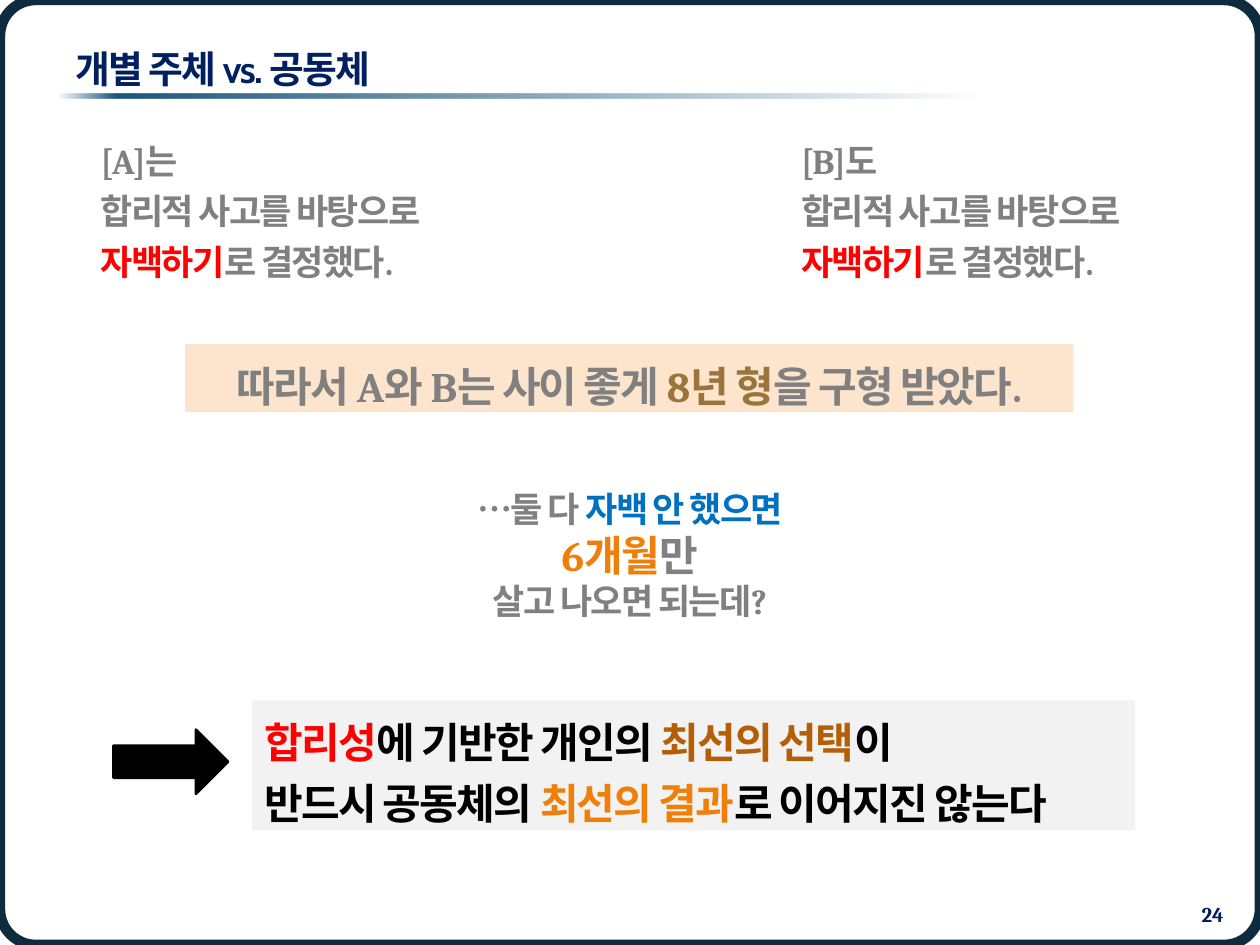
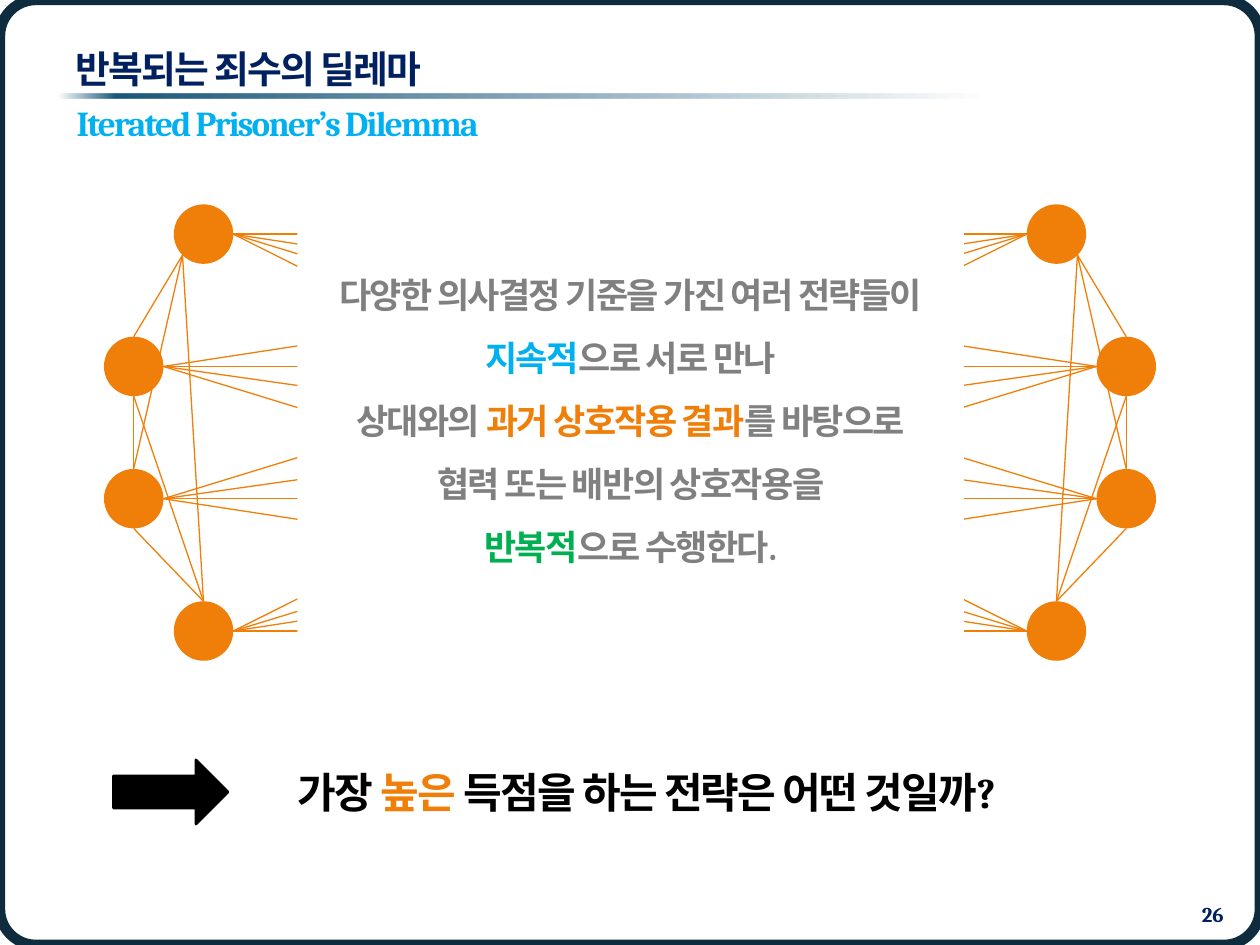
from itertools import product

from lxml import etree
from pptx import Presentation
from pptx import util as u
from pptx.dml.color import RGBColor
from pptx.enum import shapes, text
from pptx.oxml.ns import qn


class Theme:
    navy, frame, rule = "002060", "0E2C3E", "1B587C"
    grey, black, white = "808080", "000000", "FFFFFF"
    red, blue, sky, green = "FF0000", "0070C0", "00B0F0", "00B050"
    orange, brown, bronze = "F07F09", "B45F07", "9A743A"
    peach, pale = "FDE5CD", "F2F2F2"
    heading_font, body_font = "Cabin", "Cambria"
    title, body, large, small = 21.6, 20, 24, 12


LEFT, CENTER, RIGHT = text.PP_ALIGN.LEFT, text.PP_ALIGN.CENTER, text.PP_ALIGN.RIGHT


def add_solid(slide, kind, box, fill=None):
    """Add a preset shape, filled or hollow, with no outline."""
    shape = slide.shapes.add_shape(kind, *map(u.Pt, box))
    shape.shadow.inherit = False
    shape.line.fill.background()
    if fill:
        shape.fill.solid()
        shape.fill.fore_color.rgb = RGBColor.from_string(fill)
    else:
        shape.fill.background()
    return shape


def add_text(slide, box, paragraphs, fill=None, align=LEFT, spacing=1.0,
             font=Theme.body_font, tracking=-100, fixed=False, top=3.6):
    """Add a text box; each paragraph is a list of (words, size, colour) runs."""
    shape = slide.shapes.add_textbox(*map(u.Pt, box))
    if fill:
        shape.fill.solid()
        shape.fill.fore_color.rgb = RGBColor.from_string(fill)
    frame = shape.text_frame
    frame.word_wrap = fixed
    frame.auto_size = (text.MSO_AUTO_SIZE.NONE if fixed
                       else text.MSO_AUTO_SIZE.SHAPE_TO_FIT_TEXT)
    frame.margin_top = u.Pt(top)
    for index, runs in enumerate(paragraphs):
        paragraph = frame.add_paragraph() if index else frame.paragraphs[0]
        paragraph.alignment = align
        paragraph.line_spacing = spacing
        for words, size, colour in runs:
            run = paragraph.add_run()
            run.text = words
            run.font.name = font
            run.font.size = u.Pt(size)
            run.font.bold = True
            run.font.color.rgb = RGBColor.from_string(colour)
            run.font._element.set("spc", str(tracking))
    return shape


presentation = Presentation()
presentation.slide_width, presentation.slide_height = u.Pt(720), u.Pt(540)

# Shared frame, title rule, title, page number and arrow
slides = []
for title, number, arrow_top in [("개별 주체 vs. 공동체", "24", 416.9),
                                 ("반복되는 죄수의 딜레마", "26", 434.2)]:
    slide = presentation.slides.add_slide(presentation.slide_layouts[6])
    slides.append(slide)

    border = add_solid(slide, shapes.MSO_SHAPE.ROUNDED_RECTANGLE, (0, 0, 720, 540))
    border.adjustments[0] = 0.038
    border.line.color.rgb = RGBColor.from_string(Theme.frame)
    border.line.width = u.Pt(6)

    rule = add_solid(slide, shapes.MSO_SHAPE.RECTANGLE, (33.8, 53.3, 658, 2.9))
    rule.fill.gradient()
    rule.fill.gradient_angle = 0
    stops = rule._element.spPr.find(".//" + qn("a:gsLst"))
    for stop in list(stops):
        stops.remove(stop)
    for position, alpha in [(0, 0), (5, 100), (80, 0)]:
        stop = etree.SubElement(stops, qn("a:gs"), pos=str(position * 1000))
        colour = etree.SubElement(stop, qn("a:srgbClr"), val=Theme.rule)
        etree.SubElement(colour, qn("a:alpha"), val=str(alpha * 1000))

    heading = add_text(slide, (36, 21.6, 648, 34.6),
                       [[(title, Theme.title, Theme.navy)]],
                       font=Theme.heading_font, fixed=True)
    heading.text_frame.vertical_anchor = text.MSO_ANCHOR.MIDDLE
    add_text(slide, (646.6, 511.9, 59.8, 17.3),
             [[(number, Theme.small, Theme.navy)]],
             align=RIGHT, tracking=0, fixed=True)

    arrow = add_solid(slide, shapes.MSO_SHAPE.RIGHT_ARROW,
                      (64.8, arrow_top, 65.5, 36.7), Theme.black)
    arrow.line.color.rgb = RGBColor.from_string(Theme.black)
    arrow.line.width = u.Pt(1.5)

community, iterated = slides

# Slide 1: the two prisoners' decisions
for left, prisoner in [(50.4, "[A]는"), (450.7, "[B]도")]:
    add_text(community, (left, 71.3, 214.6, 92.2), [
        [(prisoner, Theme.body, Theme.grey)],
        [("합리적 사고를 바탕으로", Theme.body, Theme.grey)],
        [("자백하기", Theme.body, Theme.red),
         ("로 결정했다.", Theme.body, Theme.grey)],
    ], spacing=1.2)

# Slide 1: sentence and the missed alternative
add_text(community, (105.8, 196.6, 507.6, 38.9), [
    [("따라서 A와 B는 사이 좋게 ", Theme.large, Theme.grey),
     ("8년 형", Theme.large, Theme.bronze),
     ("을 구형 받았다.", Theme.large, Theme.grey)],
], fill=Theme.peach, align=CENTER, spacing=1.2)
add_text(community, (258.5, 275, 203, 85), [
    [("…둘 다 ", Theme.body, Theme.grey),
     ("자백 안 했으면", Theme.body, Theme.blue)],
    [("6개월", Theme.large, Theme.orange), ("만", Theme.large, Theme.grey)],
    [("살고 나오면 되는데?", Theme.body, Theme.grey)],
], align=CENTER)

# Slide 1: conclusion
add_text(community, (144, 400.3, 504.7, 74.2), [
    [("합리성", Theme.large, Theme.red),
     ("에 기반한 개인의 ", Theme.large, Theme.black),
     ("최선의 선택", Theme.large, Theme.brown),
     ("이", Theme.large, Theme.black)],
    [("반드시 공동체의 ", Theme.large, Theme.black),
     ("최선의 결과", Theme.large, Theme.orange),
     ("로 이어지진 않는다", Theme.large, Theme.black)],
], fill=Theme.pale, spacing=1.2)

# Slide 2: subtitle and closing question
add_text(iterated, (36.7, 54.7, 283.7, 31.7),
         [[("Iterated Prisoner’s Dilemma", Theme.body, Theme.sky)]])
add_text(iterated, (162.7, 434.2, 452.9, 36), [
    [("가장 ", Theme.large, Theme.black),
     ("높은", Theme.large, Theme.orange),
     (" 득점을 하는 전략은 어떤 것일까?", Theme.large, Theme.black)],
])

# Slide 2: strategies as two mirrored columns of nodes
RADIUS = 17
left_nodes = [(x, 133.8 + 75.6 * row)
              for row, x in enumerate([116.3, 76.4, 76.4, 116.3])]
right_nodes = [(720 - x, y) for x, y in left_nodes]
for x, y in left_nodes + right_nodes:
    add_solid(iterated, shapes.MSO_SHAPE.OVAL,
              (x - RADIUS, y - RADIUS, 2 * RADIUS, 2 * RADIUS), Theme.orange)

# Slide 2: every left node meets every right node, and its own neighbours
links = [((x1 + RADIUS, y1), (x2 - RADIUS, y2))
         for (x1, y1), (x2, y2) in product(left_nodes, right_nodes)]
first, second, third, fourth = left_nodes
corner = (first[0] - 12, first[1] + 12)
second_top, third_top, fourth_top = [(x, y - RADIUS) for x, y in left_nodes[1:]]
second_bottom, third_bottom = [(x, y + RADIUS) for x, y in (second, third)]
side_links = [(corner, second_top), (corner, third_top), (corner, fourth_top),
              (second_bottom, third_top), (second_bottom, fourth_top),
              (third_bottom, fourth_top)]
links += side_links
links += [((720 - x1, y1), (720 - x2, y2)) for (x1, y1), (x2, y2) in side_links]
for start, end in links:
    connector = iterated.shapes.add_connector(
        shapes.MSO_CONNECTOR.STRAIGHT, *map(u.Pt, start + end))
    connector.line.color.rgb = RGBColor.from_string(Theme.orange)
    connector.line.width = u.Pt(0.75)
    etree.SubElement(connector._element.spPr, qn("a:effectLst"))

# Slide 2: panel over the middle of the network
add_text(iterated, (169.9, 116.6, 380.9, 262.1), [
    [("다양한 의사결정 기준을 가진 여러 전략들이", Theme.body, Theme.grey)],
    [("지속적", Theme.body, Theme.sky), ("으로 서로 만나", Theme.body, Theme.grey)],
    [("상대와의 ", Theme.body, Theme.grey),
     ("과거 상호작용 결과", Theme.body, Theme.orange),
     ("를 바탕으로", Theme.body, Theme.grey)],
    [("협력 또는 배반의 상호작용을", Theme.body, Theme.grey)],
    [("반복적", Theme.body, Theme.green), ("으로 수행한다.", Theme.body, Theme.grey)],
], fill=Theme.white, align=CENTER, spacing=1.5, fixed=True, top=27.6)

presentation.save("out.pptx")
